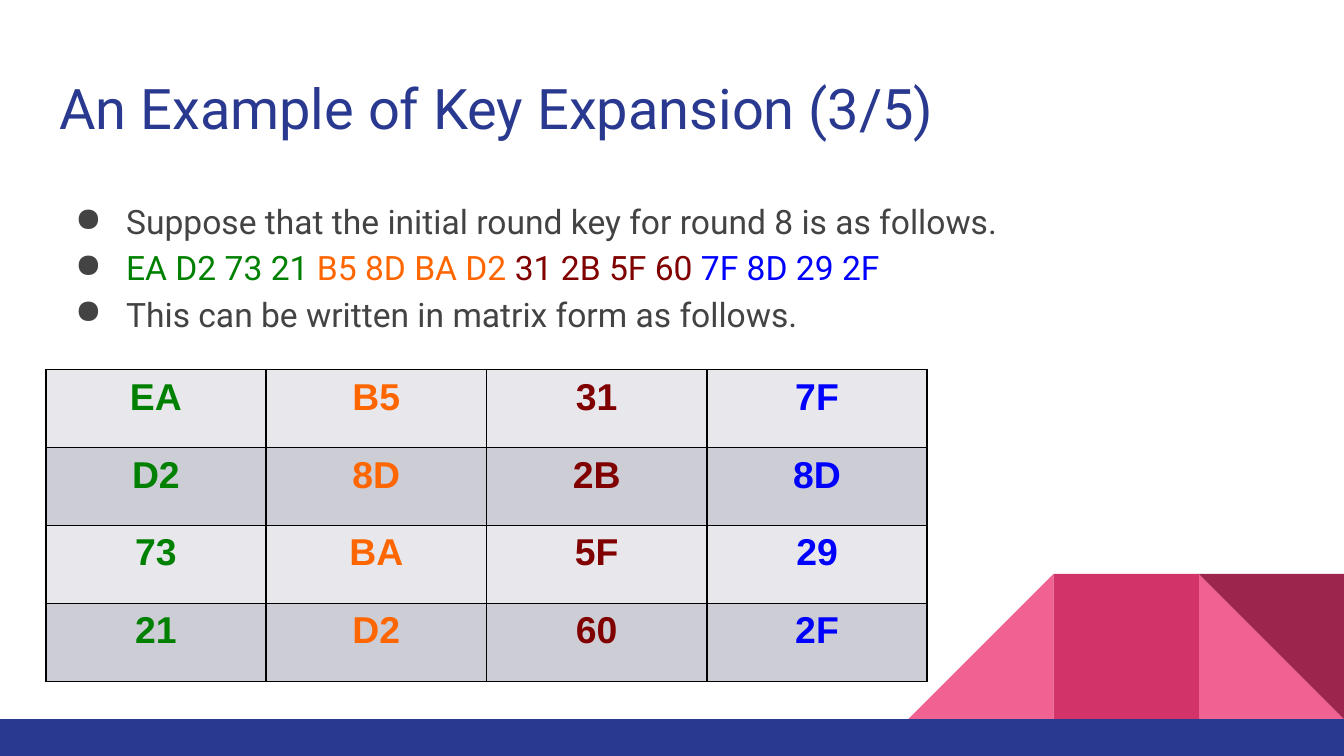
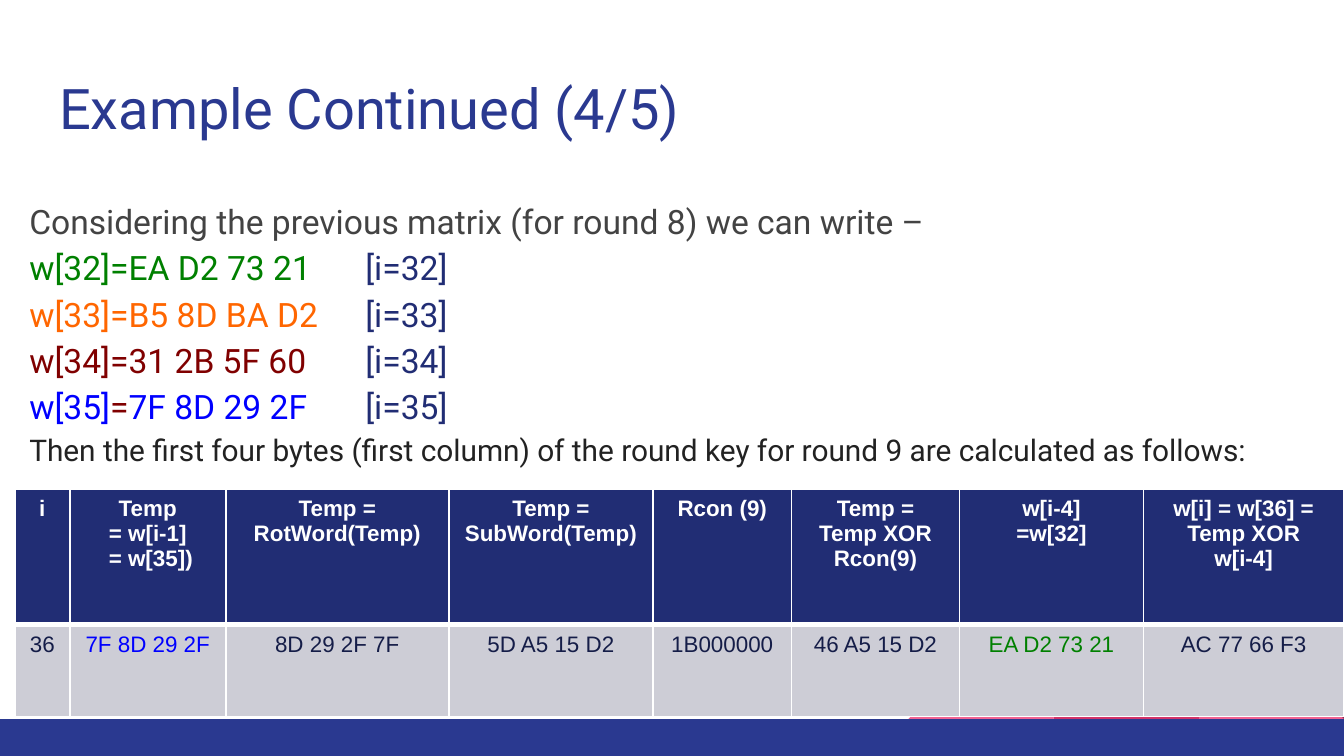
from lxml.etree import SubElement
from pptx import Presentation
from pptx.dml.color import RGBColor
from pptx.enum.shapes import MSO_SHAPE as Preset
from pptx.enum.text import MSO_ANCHOR as Anchor, MSO_AUTO_SIZE as AutoSize, PP_ALIGN as Align
from pptx.oxml.ns import qn
from pptx.util import Inches, Pt

COLORS = {
    "title": "2A3990", "body": "434343", "note": "222222",
    "navy": "212D74", "ink": "151D48", "white": "FFFFFF", "black": "000000",
    "light": "E8E8EC", "gray": "CDCDD6",
    "pink": "F06292", "rose": "D23369", "wine": "9C254D",
    "green": "008000", "orange": "FF6600", "maroon": "800000", "blue": "0000FF",
}
HEADING_FONT, TABLE_FONT = "Roboto", "Arial"

# Content: the four words of the round 8 key, each with its colour
WORDS = [
    ("EA D2 73 21", "green"),
    ("B5 8D BA D2", "orange"),
    ("31 2B 5F 60", "maroon"),
    ("7F 8D 29 2F", "blue"),
]

# Lines are (size, [(text, colour), ...])
KEY_TITLE = "An Example of Key Expansion (3/5)"
KEY_LINES = [
    (18, [("Suppose that the initial round key for round 8 is as follows.", "body")]),
    (18, [(word + " ", color) for word, color in WORDS[:-1]] + [WORDS[-1]]),
    (18, [("This can be written in matrix form as follows.", "body")]),
]

NEXT_TITLE = "Example Continued (4/5)"
NEXT_LINES = [
    (18, [("Considering the previous matrix (for round 8) we can write –", "body")]),
    *[(18, [(f"w[{i}]", color), ("=", "maroon" if color == "blue" else color),
            (word + "\t", color), (f"[i={i}]", "navy")])
      for i, (word, color) in enumerate(WORDS, start=32)],
    (16, [("Then the first four bytes (first column) of the round key "
           "for round 9 are calculated as follows:", "note")]),
]

# Columns are (width, heading, value, value colour)
STEPS = [
    (0.41, "i", "36", "ink"),
    (1.16, "Temp\n= w[i-1]\n = w[35])", "7F 8D 29 2F", "blue"),
    (1.66, "Temp = RotWord(Temp)", "8D 29 2F 7F", "ink"),
    (1.52, "Temp = SubWord(Temp)", "5D A5 15 D2", "ink"),
    (1.03, "Rcon (9)", "1B000000", "ink"),
    (1.25, "Temp =\nTemp XOR Rcon(9)", "46 A5 15 D2", "ink"),
    (1.37, "w[i-4]\n=w[32]", "EA D2 73 21", "green"),
    (1.49, "w[i] = w[36] = Temp XOR\vw[i-4]", "AC 77 66 F3", "ink"),
]

# Footer parts are (preset, left, top, width, height, colour, rotation, flipped)
SIDE, FOOTER_TOP = 1.08, 5.35
PEAK_TOP = FOOTER_TOP - SIDE
FOOTER = [
    (Preset.RIGHT_TRIANGLE, 10 - SIDE, PEAK_TOP, SIDE, SIDE, "pink", 0, False),
    (Preset.RIGHT_TRIANGLE, 10 - 3 * SIDE, PEAK_TOP, SIDE, SIDE, "pink", 0, True),
    (Preset.RECTANGLE, 10 - 2 * SIDE, PEAK_TOP, SIDE, SIDE, "rose", 0, False),
    (Preset.RIGHT_TRIANGLE, 10 - SIDE, PEAK_TOP, SIDE, SIDE, "wine", 180, False),
    (Preset.RECTANGLE, 0, FOOTER_TOP, 10, 0.28, "title", 0, False),
]


def rgb(name):
    return RGBColor.from_string(COLORS[name])


def style(run, font, size, color, bold=False):
    run.font.name, run.font.size, run.font.bold = font, Pt(size), bold
    run.font.color.rgb = rgb(color)


def set_frame(frame):
    frame.word_wrap, frame.auto_size = True, AutoSize.NONE
    frame.vertical_anchor = Anchor.TOP
    frame.margin_left = frame.margin_right = Inches(0.1)
    frame.margin_top = frame.margin_bottom = Inches(0.1)


def start_slide(prs, heading):
    """Add a slide with the shared footer and title."""
    slide = prs.slides.add_slide(prs.slide_layouts[5])
    for preset, left, top, width, height, color, rotation, flipped in FOOTER:
        part = slide.shapes.add_shape(preset, *map(Inches, (left, top, width, height)))
        part.shadow.inherit = False
        part.fill.solid()
        part.fill.fore_color.rgb = rgb(color)
        part.line.fill.background()
        part.rotation = rotation
        if flipped:
            part.element.spPr.get_or_add_xfrm().set("flipH", "1")

    title = slide.shapes.title
    title.left, title.top, title.width, title.height = map(Inches, (0.34, 0.45, 9.32, 0.66))
    title.text_frame.text = heading
    set_frame(title.text_frame)
    title.text_frame.paragraphs[0].alignment = Align.LEFT
    style(title.text_frame.paragraphs[0].runs[0], HEADING_FONT, 30, "title")
    return slide


def add_body(slide, left, width, lines, indent, hanging=0):
    """Add the lines of text; a hanging indent gives them bullets."""
    frame = slide.shapes.add_textbox(*map(Inches, (left, 1.35, width, 3.65))).text_frame
    set_frame(frame)
    for index, (size, pieces) in enumerate(lines):
        line = frame.add_paragraph() if index else frame.paragraphs[0]
        line.line_spacing = 1.15
        props = line._p.get_or_add_pPr()
        props.set("marL", str(Inches(indent)))
        props.set("indent", str(-Inches(hanging)))
        if hanging:
            SubElement(SubElement(props, qn("a:buClr")), qn("a:srgbClr"), val=COLORS["body"])
            SubElement(props, qn("a:buChar"), char="●")
        for text, color in pieces:
            run = line.add_run()
            run.text = text
            style(run, HEADING_FONT, size, color)


def set_borders(cell, color, bottom):
    props = cell._tc.get_or_add_tcPr()
    for side, points in (("L", 1), ("R", 1), ("T", 1), ("B", bottom)):
        edge = SubElement(props, qn(f"a:ln{side}"), w=str(Pt(points)))
        SubElement(SubElement(edge, qn("a:solidFill")), qn("a:srgbClr"), val=COLORS[color])


def add_grid(slide, left, top, widths, heights, rows, size, border):
    """Rows are (fill, bold, bottom border, [(text, colour), ...])."""
    grid = slide.shapes.add_table(
        len(rows), len(widths),
        *map(Inches, (left, top, sum(widths), sum(heights)))).table
    for column, width in zip(grid.columns, widths):
        column.width = Inches(width)
    for r, (fill, bold, bottom, entries) in enumerate(rows):
        grid.rows[r].height = Inches(heights[r])
        for c, (text, color) in enumerate(entries):
            cell = grid.cell(r, c)
            set_borders(cell, border, bottom)
            cell.fill.solid()
            cell.fill.fore_color.rgb = rgb(fill)
            cell.text_frame.text = text
            for paragraph in cell.text_frame.paragraphs:
                paragraph.alignment = Align.CENTER
                for run in paragraph.runs:
                    style(run, TABLE_FONT, size, color, bold)


def main():
    prs = Presentation()
    prs.slide_width, prs.slide_height = Inches(10), Inches(10) * 9 // 16

    # Round key, with one word in each matrix column
    key_slide = start_slide(prs, KEY_TITLE)
    add_body(key_slide, 0.34, 9.32, KEY_LINES, 0.5, 0.38)
    matrix = [("gray" if r % 2 else "light", True, 1,
               [(word.split()[r], color) for word, color in WORDS])
              for r in range(4)]
    add_grid(key_slide, 0.34, 2.75, [1.64] * 4, [0.58] * 4, matrix, 20, "black")

    # Words of the key and the steps to the next one
    next_slide = start_slide(prs, NEXT_TITLE)
    add_body(next_slide, 0, 10, NEXT_LINES, 0.12)
    steps = [
        ("navy", True, 3, [(heading, "white") for _, heading, _, _ in STEPS]),
        ("gray", False, 1, [(value, color) for _, _, value, color in STEPS]),
    ]
    add_grid(next_slide, 0.11, 3.64, [step[0] for step in STEPS], [1.01, 0.68],
             steps, 12, "white")

    prs.save("out.pptx")


if __name__ == "__main__":
    main()
